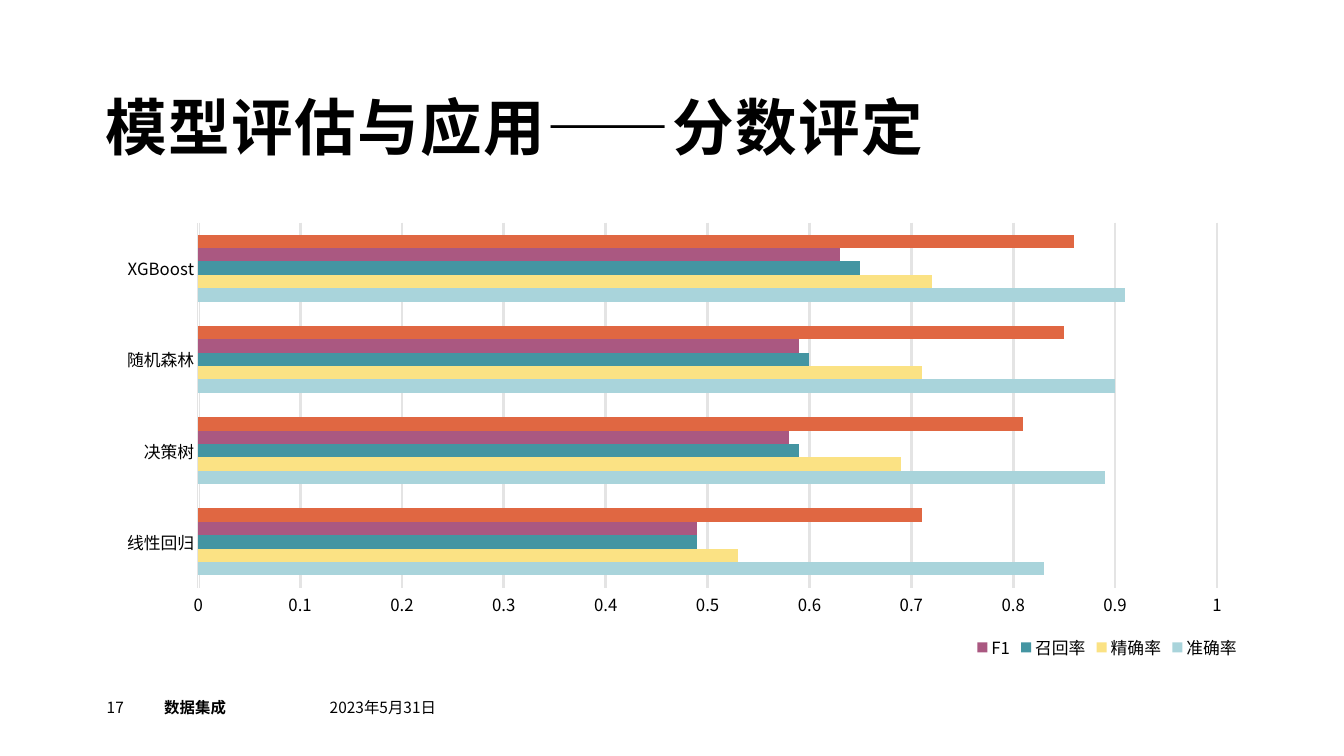
from typing import NamedTuple

from lxml.etree import SubElement
from pptx import Presentation
from pptx.chart.chart import Chart
from pptx.chart.data import CategoryChartData
from pptx.dml.color import RGBColor
from pptx.enum.chart import XL_CHART_TYPE, XL_LEGEND_POSITION, XL_TICK_MARK
from pptx.enum.text import MSO_ANCHOR, MSO_AUTO_SIZE, PP_ALIGN
from pptx.oxml import parse_xml
from pptx.oxml.ns import nsdecls, qn
from pptx.slide import Slide
from pptx.text.text import Font, TextFrame
from pptx.util import Cm, Pt

COLORS = {
    "text": "000000",
    "axis": "FFFFFF",
    "grid": "E4E4E4",
    "accuracy": "A9D4DB",
    "precision": "FBE284",
    "recall": "4495A2",
    "f1": "AA5881",
    "kappa": "E06742",
}
BODY_FONT = "Noto Sans CJK SC"
TITLE_FONT = "Roboto"
MODELS = ["线性回归", "决策树", "随机森林", "XGBoost"]


class Metric(NamedTuple):
    name: str
    color: str
    scores: tuple[float, ...]


class FooterItem(NamedTuple):
    text: str
    left: float
    width: float
    bold: bool = False


METRICS = [
    Metric("准确率", "accuracy", (0.83, 0.89, 0.9, 0.91)),
    Metric("精确率", "precision", (0.53, 0.69, 0.71, 0.72)),
    Metric("召回率", "recall", (0.49, 0.59, 0.6, 0.65)),
    Metric("F1", "f1", (0.49, 0.58, 0.59, 0.63)),
    Metric("Kappa", "kappa", (0.71, 0.81, 0.85, 0.86)),
]
FOOTER = [
    FooterItem("17", 2.69, 1.45),
    FooterItem("数据集成", 4.14, 4.17, bold=True),
    FooterItem("2023年5月31日", 8.31, 3.66),
]


def rgb(name: str) -> RGBColor:
    return RGBColor.from_string(COLORS[name])


def format_font(font: Font, size: float, name: str = BODY_FONT, bold: bool = False) -> None:
    font.name = name
    font.size = Pt(size)
    font.bold = bold
    font.color.rgb = rgb("text")


def remove_margins(frame: TextFrame) -> None:
    frame.margin_left = frame.margin_right = 0
    frame.margin_top = frame.margin_bottom = 0
    frame.auto_size = MSO_AUTO_SIZE.NONE
    frame.word_wrap = True


def add_title(slide: Slide, text: str) -> None:
    title = slide.shapes.title
    title.left, title.top, title.width, title.height = Cm(2.67), Cm(2.44), Cm(22.45), Cm(1.7)
    frame = title.text_frame
    remove_margins(frame)
    frame.vertical_anchor = MSO_ANCHOR.BOTTOM
    frame.text = text
    paragraph = frame.paragraphs[0]
    paragraph.alignment = PP_ALIGN.LEFT
    paragraph.line_spacing = 0.9
    format_font(paragraph.font, 44, TITLE_FONT, bold=True)
    paragraph.runs[0].font._element.set("spc", "100")


def add_footer_item(slide: Slide, item: FooterItem) -> None:
    box = slide.shapes.add_textbox(Cm(item.left), Cm(17.58), Cm(item.width), Cm(0.69))
    remove_margins(box.text_frame)
    box.text_frame.text = item.text
    format_font(box.text_frame.paragraphs[0].font, 11, bold=item.bold)


def layout_xml(inner: bool, **fractions: float):
    """Build a manual chart layout from fractions of the chart's size."""
    layout = parse_xml(f"<c:layout {nsdecls('c')}><c:manualLayout/></c:layout>")
    settings = {"layoutTarget": "inner"} if inner else {}
    settings |= {"xMode": "edge", "yMode": "edge"} | fractions
    for tag, value in settings.items():
        SubElement(layout[0], qn(f"c:{tag}")).set("val", str(value))
    return layout


def format_axes(chart: Chart) -> None:
    for axis in (chart.category_axis, chart.value_axis):
        axis.major_tick_mark = axis.minor_tick_mark = XL_TICK_MARK.NONE
        format_font(axis.tick_labels.font, 12)
    category_line = chart.category_axis.format.line
    category_line.color.rgb = rgb("axis")
    category_line.width = Pt(0.75)

    value_axis = chart.value_axis
    value_axis.minimum_scale, value_axis.maximum_scale = 0, 1
    value_axis.major_unit = 0.1
    value_axis.format.line.fill.background()
    grid_line = value_axis.major_gridlines.format.line
    grid_line.color.rgb = rgb("grid")
    grid_line.width = Pt(2)


def format_legend(chart: Chart) -> None:
    """Place the legend bottom right, without an entry for the first metric."""
    chart.has_legend = True
    legend = chart.legend
    legend.position = XL_LEGEND_POSITION.BOTTOM
    legend.include_in_layout = False
    format_font(legend.font, 12)
    element = legend._element
    for old_layout in element.findall(qn("c:layout")):
        element.remove(old_layout)
    hidden_entry = parse_xml(
        f'<c:legendEntry {nsdecls("c")}><c:idx val="0"/><c:delete val="1"/></c:legendEntry>'
    )
    position = element.find(qn("c:legendPos"))
    position.addnext(hidden_entry)
    hidden_entry.addnext(layout_xml(False, x=0.76, y=0.92))


def add_score_chart(slide: Slide) -> None:
    data = CategoryChartData()
    data.categories = MODELS
    for metric in METRICS:
        data.add_series(metric.name, metric.scores)
    chart = slide.shapes.add_chart(
        XL_CHART_TYPE.BAR_CLUSTERED, Cm(2.64), Cm(5.38), Cm(28.75), Cm(11.43), data
    ).chart
    chart.has_title = False
    format_font(chart.font, 10)

    plot = chart.plots[0]
    plot.gap_width = 182
    plot.overlap = 0
    plot.vary_by_categories = False
    for series, metric in zip(plot.series, METRICS):
        series.format.fill.solid()
        series.format.fill.fore_color.rgb = rgb(metric.color)

    format_axes(chart)
    format_legend(chart)
    plot_area = chart._chartSpace.chart.plotArea
    for old_layout in plot_area.findall(qn("c:layout")):
        plot_area.remove(old_layout)
    plot_area.insert(0, layout_xml(True, x=0.082, y=0.02, w=0.893, h=0.805))


def main() -> None:
    presentation = Presentation()
    presentation.slide_width, presentation.slide_height = Cm(33.87), Cm(19.05)
    slide = presentation.slides.add_slide(presentation.slide_layouts[5])
    add_title(slide, "模型评估与应用——分数评定")
    add_score_chart(slide)
    for item in FOOTER:
        add_footer_item(slide, item)
    presentation.save("out.pptx")


if __name__ == "__main__":
    main()
